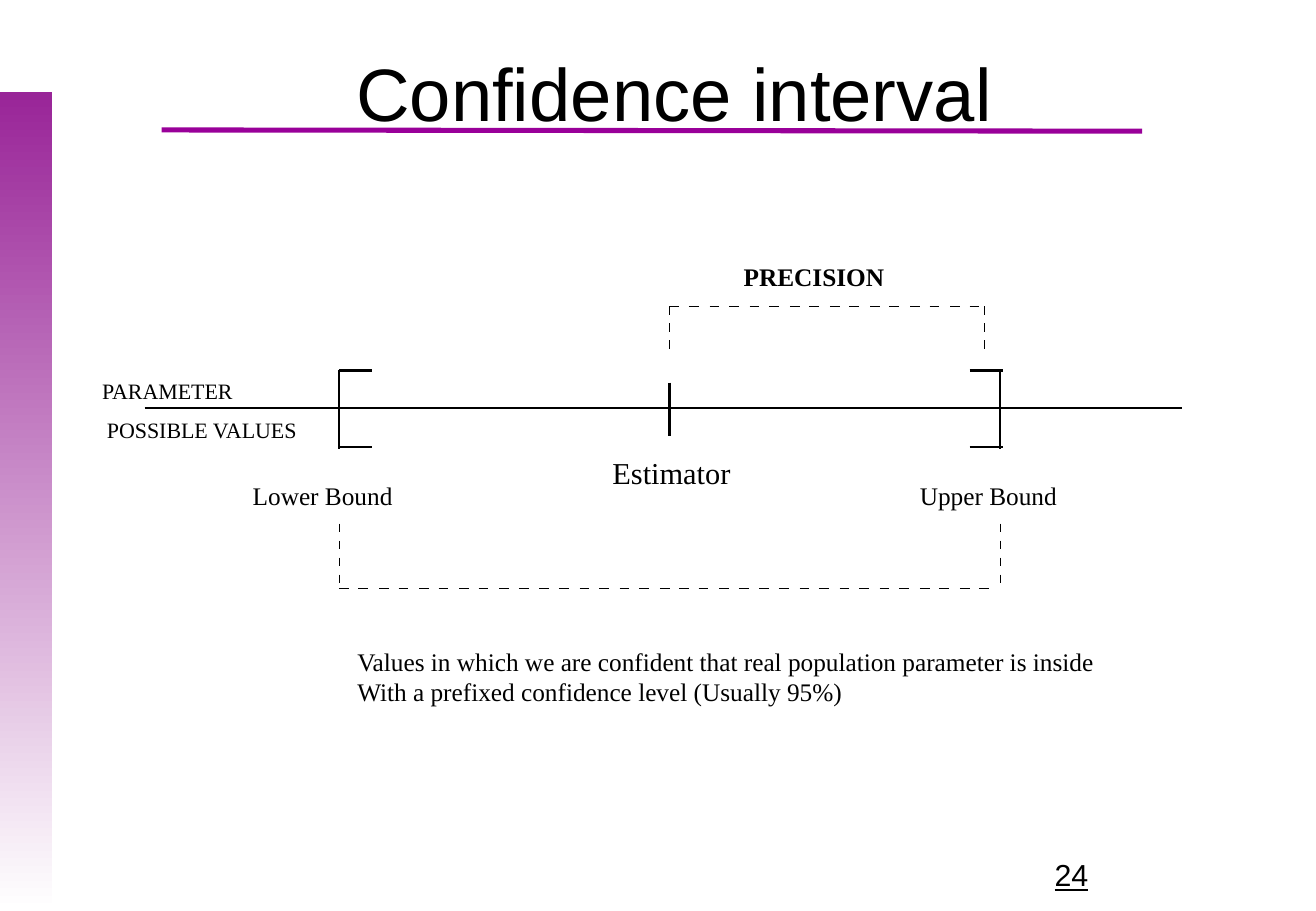
from pptx import Presentation
from pptx.dml.color import RGBColor
from pptx.enum.shapes import MSO_CONNECTOR, MSO_SHAPE
from pptx.enum.text import MSO_ANCHOR, MSO_AUTO_SIZE, PP_ALIGN
from pptx.oxml.ns import qn
from pptx.util import Emu, Pt
from lxml.etree import SubElement

EMU_PER_PX = 9144  # 100 px to the inch
COLORS = {
    "ink": "000000",
    "rule": "990099",
    "band": "992598",
    "paper": "FFFFFF",
}
SERIF = "Times New Roman"
SANS = "Arial"

# Places shared by the parts of the diagram
LOWER, ESTIMATE, PRECISION_END, UPPER = 279, 551, 810, 823
AXIS_Y = 336


def px(length):
    return Emu(length * EMU_PER_PX)


def color(name):
    return RGBColor.from_string(COLORS[name])


def add_line(page, x1, y1, x2, y2, weight=1.5, ink="ink"):
    line = page.shapes.add_connector(
        MSO_CONNECTOR.STRAIGHT, px(x1), px(y1), px(x2), px(y2))
    line.line.color.rgb = color(ink)
    line.line.width = Pt(weight)
    SubElement(line._element.spPr, qn("a:effectLst"))


def add_dashes(page, x, y, count, upright=False):
    """Draw a row (or an upright column) of evenly spaced hairline dashes."""
    step, dash = (14, 7) if upright else (16.47, 8)
    for index in range(count):
        offset = round(index * step)
        if upright:
            add_line(page, x, y + offset, x, y + offset + dash, weight=0.13)
        else:
            add_line(page, x + offset, y, x + offset + dash, y, weight=0.13)


def add_bracket(page, spine, tick_start, tick_end):
    add_line(page, spine, 305, spine, 370)
    for y in (305, 368):
        add_line(page, tick_start, y, tick_end, y)


def add_text(page, text, x, y, width, height, *, size, font=SERIF, bold=False,
             underline=False, align=PP_ALIGN.LEFT, insets=(0, 0), fit=True):
    box = page.shapes.add_textbox(px(x), px(y), px(width), px(height))
    frame = box.text_frame
    frame.word_wrap = not fit
    frame.auto_size = MSO_AUTO_SIZE.SHAPE_TO_FIT_TEXT if fit else MSO_AUTO_SIZE.NONE
    frame.vertical_anchor = MSO_ANCHOR.TOP
    side, top = insets
    frame.margin_left = frame.margin_right = px(side)
    frame.margin_top, frame.margin_bottom = px(top), px(0)
    for index, words in enumerate(text.split("\n")):
        para = frame.add_paragraph() if index else frame.paragraphs[0]
        para.alignment = align
        span = para.add_run()
        span.text = words
        span.font.name = font
        span.font.size = Pt(size)
        span.font.bold = bold
        span.font.underline = underline
        span.font.color.rgb = color("ink")


def add_side_band(page):
    band = page.shapes.add_shape(
        MSO_SHAPE.RECTANGLE, px(0), px(76), px(43), px(674))
    band.shadow.inherit = False
    band.line.fill.background()
    band.fill.gradient()
    band.fill.gradient_angle = 270
    for stop, name, position in zip(
            band.fill.gradient_stops, ("band", "paper"), (0, 1)):
        stop.color.rgb = color(name)
        stop.position = position


def main():
    deck = Presentation()
    deck.slide_width, deck.slide_height = px(1083), px(750)
    page = deck.slides.add_slide(deck.slide_layouts[6])

    # Frame of the slide
    add_side_band(page)
    add_line(page, 133, 107, 940, 108, weight=3, ink="rule")
    add_text(page, "24", 858, 700, 226, 50, size=18, font=SANS,
             underline=True, insets=(10, 5), fit=False)
    add_text(page, "Confidence interval", 27, 28, 1056, 50, size=44, font=SANS,
             align=PP_ALIGN.CENTER, insets=(10, 11), fit=False)

    # Axis with the interval and its estimator
    add_line(page, 119, AXIS_Y, 973, AXIS_Y)
    add_bracket(page, LOWER, LOWER, LOWER + 27)
    add_bracket(page, UPPER, UPPER - 25, UPPER + 2)
    add_line(page, ESTIMATE, 315, ESTIMATE, 359)

    # Dashed span of the precision
    add_dashes(page, ESTIMATE, 252, 16)
    for x in (ESTIMATE, PRECISION_END):
        add_dashes(page, x, 252, 3, upright=True)

    # Dashed span of the whole interval
    add_dashes(page, LOWER, 484, 33)
    for x in (LOWER, UPPER):
        add_dashes(page, x, 431, 4, upright=True)

    # Labels
    add_text(page, "PRECISION", 612, 215, 156, 30, size=15, bold=True)
    add_text(page, "PARAMETER", 84, 311, 113, 22, size=13)
    add_text(page, "POSSIBLE VALUES", 88, 343, 159, 22, size=13)
    add_text(page, "Lower Bound", 208, 395, 116, 25, size=15)
    add_text(page, "Upper Bound", 757, 395, 114, 25, size=15)
    add_text(page, "Estimator", 504, 374, 98, 30, size=18)
    add_text(page, "Values in which we are confident that real population "
             "parameter is inside\nWith a prefixed confidence level "
             "(Usually 95%)", 294, 532, 611, 51, size=15)

    deck.save("out.pptx")


if __name__ == "__main__":
    main()
